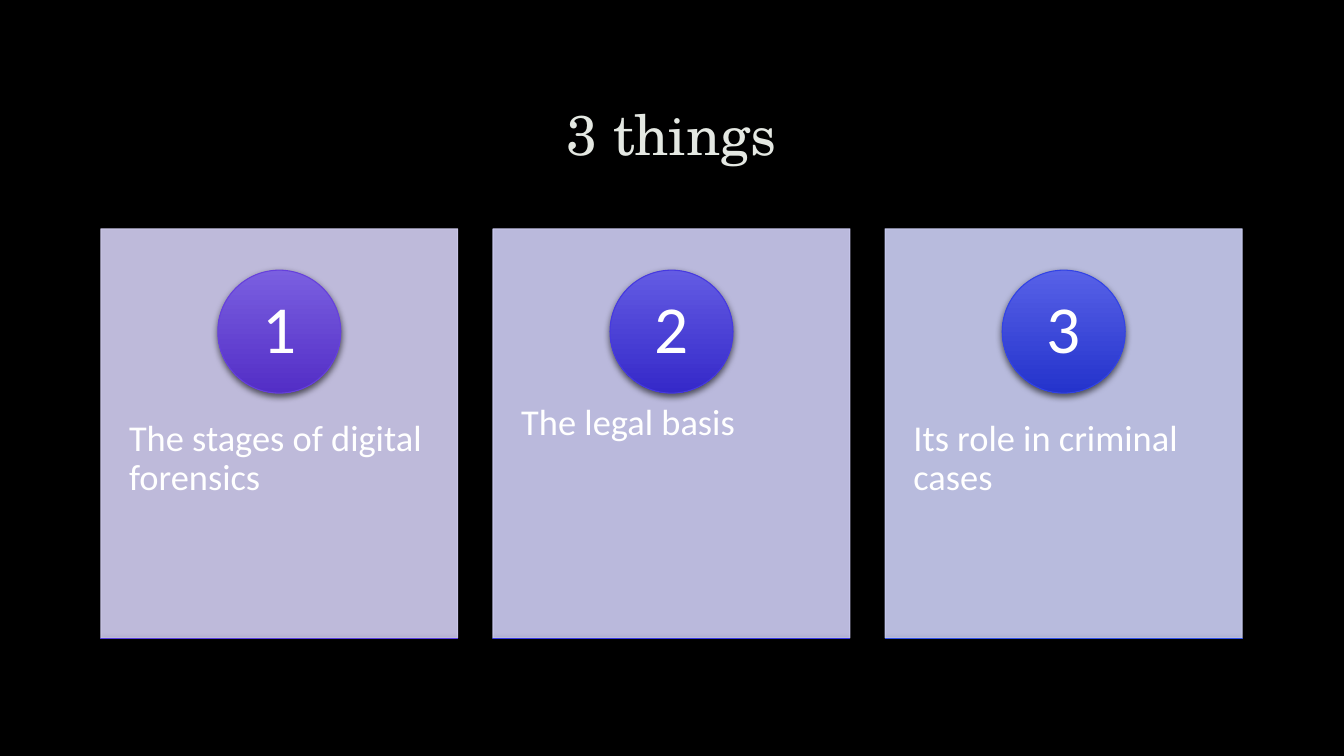
from lxml import etree
from pptx import Presentation
from pptx.dml.color import RGBColor
from pptx.enum.shapes import MSO_SHAPE
from pptx.enum.text import MSO_ANCHOR, PP_ALIGN
from pptx.oxml import parse_xml
from pptx.oxml.ns import nsdecls, qn
from pptx.util import Inches, Pt

COLORS = {"background": "000000", "title": "E4E8E2", "outline": "404040",
          "text": "FFFFFF", "shadow": "000000"}

# Each card: number, wording, panel colour, then top, bottom and line
# colours of the circle and of the base line
CARDS = [
    ("1", "The stages of digital forensics", "D3CFF2",
     ("7A5FE0", "532EC6", "6640DC"), ("6F5DE1", "442BC8", "573DDE")),
    ("2", "The legal basis", "CFCEF4",
     ("635BE3", "3529C9", "4639E0"), ("595AE5", "2628CB", "3637E3")),
    ("3", "Its role in criminal cases", "CDD0F6",
     ("5761E7", "2433CC", "3243E5"), ("5669E9", "223FCD", "2F4FE7")),
]
CARD_LEFT, CARD_TOP, CARD_W, CARD_H, CARD_STEP = 1, 2.27, 3.54, 4.06, 3.89
CIRCLE = 1.22
NUMBER = 0.86

prs = Presentation()
prs.slide_width, prs.slide_height = Inches(13.33), Inches(7.5)
s = prs.slides.add_slide(prs.slide_layouts[6])
s.background.fill.solid()
s.background.fill.fore_color.rgb = RGBColor.from_string(COLORS["background"])


def add_text(text, x, y, w, h, size=26, font="Calibri", color="text",
             align=PP_ALIGN.LEFT, anchor=MSO_ANCHOR.TOP, inset=(0.1, 0.05)):
    tf = s.shapes.add_textbox(Inches(x), Inches(y), Inches(w), Inches(h)).text_frame
    tf.word_wrap = True
    tf.vertical_anchor = anchor
    tf.margin_left = tf.margin_right = Inches(inset[0])
    tf.margin_top = tf.margin_bottom = Inches(inset[1])
    p = tf.paragraphs[0]
    p.alignment, p.line_spacing = align, 0.9
    r = p.add_run()
    r.text = text
    r.font.size, r.font.name = Pt(size), font
    r.font.color.rgb = RGBColor.from_string(COLORS[color])
    return r


def add_glossy(kind, x, y, w, h, colors):
    """Add a shape with a vertical gradient and a soft shadow below."""
    top, bottom, line = colors
    sp = s.shapes.add_shape(kind, Inches(x), Inches(y), Inches(w), Inches(h))
    sp.fill.gradient()
    sp.fill.gradient_angle = 270
    for stop, position, color in zip(sp.fill.gradient_stops, (0, 1), (top, bottom)):
        stop.position = position
        stop.color.rgb = RGBColor.from_string(color)
    sp.line.color.rgb = RGBColor.from_string(line)
    sp.line.width = Pt(0.75)
    sp.shadow.inherit = False
    effects = sp.element.spPr.find(qn("a:effectLst"))
    effects.append(parse_xml(
        f'<a:outerShdw {nsdecls("a")} blurRad="{Pt(5)}" dist="{Pt(2)}" dir="5400000" '
        f'rotWithShape="0"><a:srgbClr val="{COLORS["shadow"]}"><a:alpha val="60000"/>'
        '</a:srgbClr></a:outerShdw>'))


# Title with a faint outline
r = add_text("3 things", 1, 0.67, 11.32, 1.38, size=40, font="TeX Gyre Schola",
             color="title", align=PP_ALIGN.CENTER, anchor=MSO_ANCHOR.MIDDLE)
r.font._element.insert(0, parse_xml(
    f'<a:ln {nsdecls("a")} w="{Pt(0.75)}"><a:solidFill><a:srgbClr val="{COLORS["outline"]}">'
    '<a:alpha val="10000"/></a:srgbClr></a:solidFill></a:ln>'))

# Cards
for i, (number, wording, panel, circle_colors, base_colors) in enumerate(CARDS):
    x = CARD_LEFT + i * CARD_STEP

    # Translucent panel
    sp = s.shapes.add_shape(MSO_SHAPE.RECTANGLE, Inches(x), Inches(CARD_TOP),
                            Inches(CARD_W), Inches(CARD_H))
    sp.shadow.inherit = False
    sp.fill.solid()
    sp.fill.fore_color.rgb = sp.line.color.rgb = RGBColor.from_string(panel)
    sp.line.width = Pt(0.75)
    for color in sp.element.spPr.iter(qn("a:srgbClr")):
        etree.SubElement(color, qn("a:alpha")).set("val", "90000")

    add_text(wording, x, 3.81, CARD_W, 2.44, inset=(0.28, 0.36))

    # Numbered circle
    add_glossy(MSO_SHAPE.OVAL, x + (CARD_W - CIRCLE) / 2, 2.68, CIRCLE, CIRCLE,
               circle_colors)
    add_text(number, x + (CARD_W - NUMBER) / 2, 2.86, NUMBER, NUMBER, size=48,
             align=PP_ALIGN.CENTER, anchor=MSO_ANCHOR.MIDDLE, inset=(0.1, 0.01))

    # Base line
    add_glossy(MSO_SHAPE.RECTANGLE, x, CARD_TOP + CARD_H, CARD_W, 0, base_colors)

prs.save("out.pptx")
